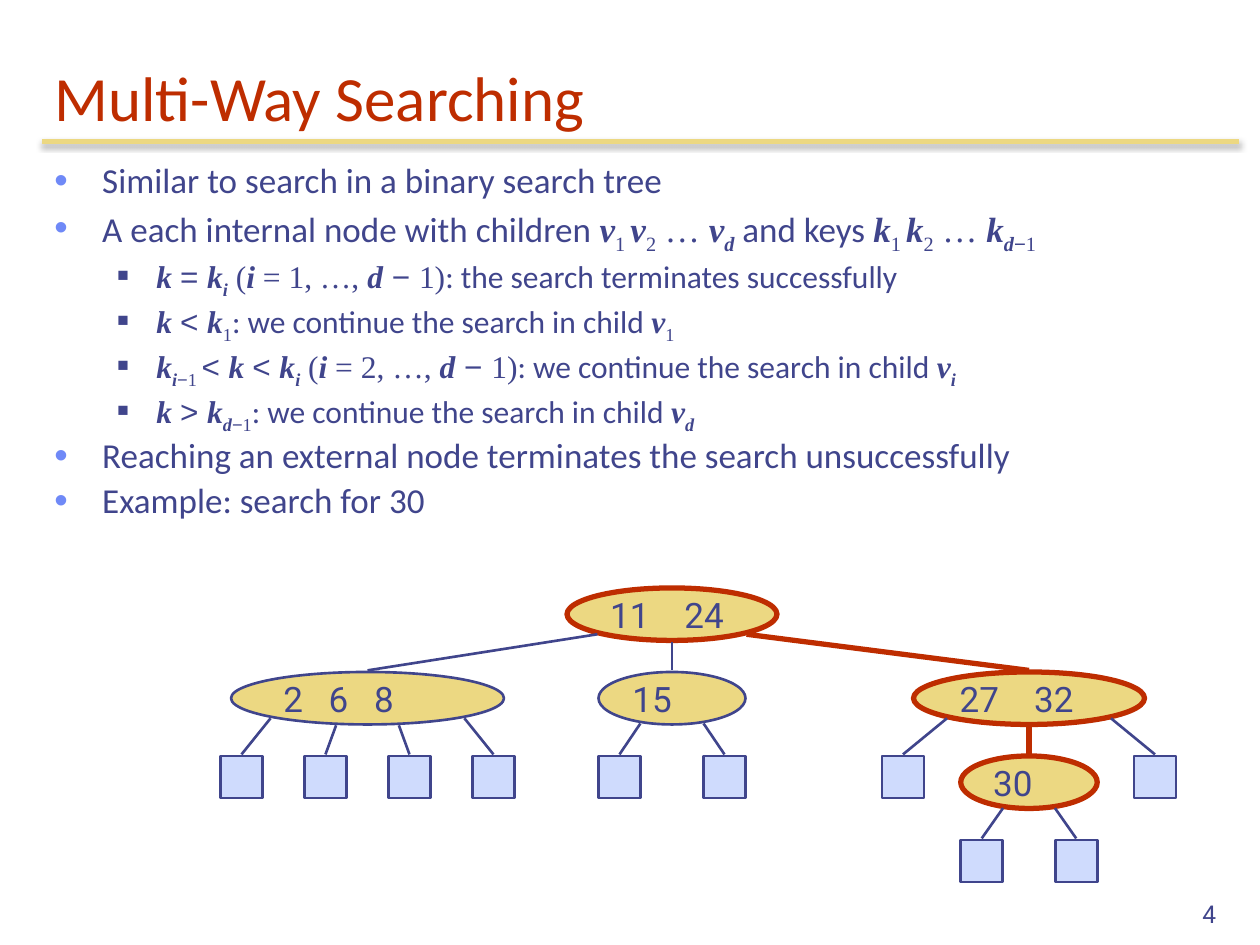
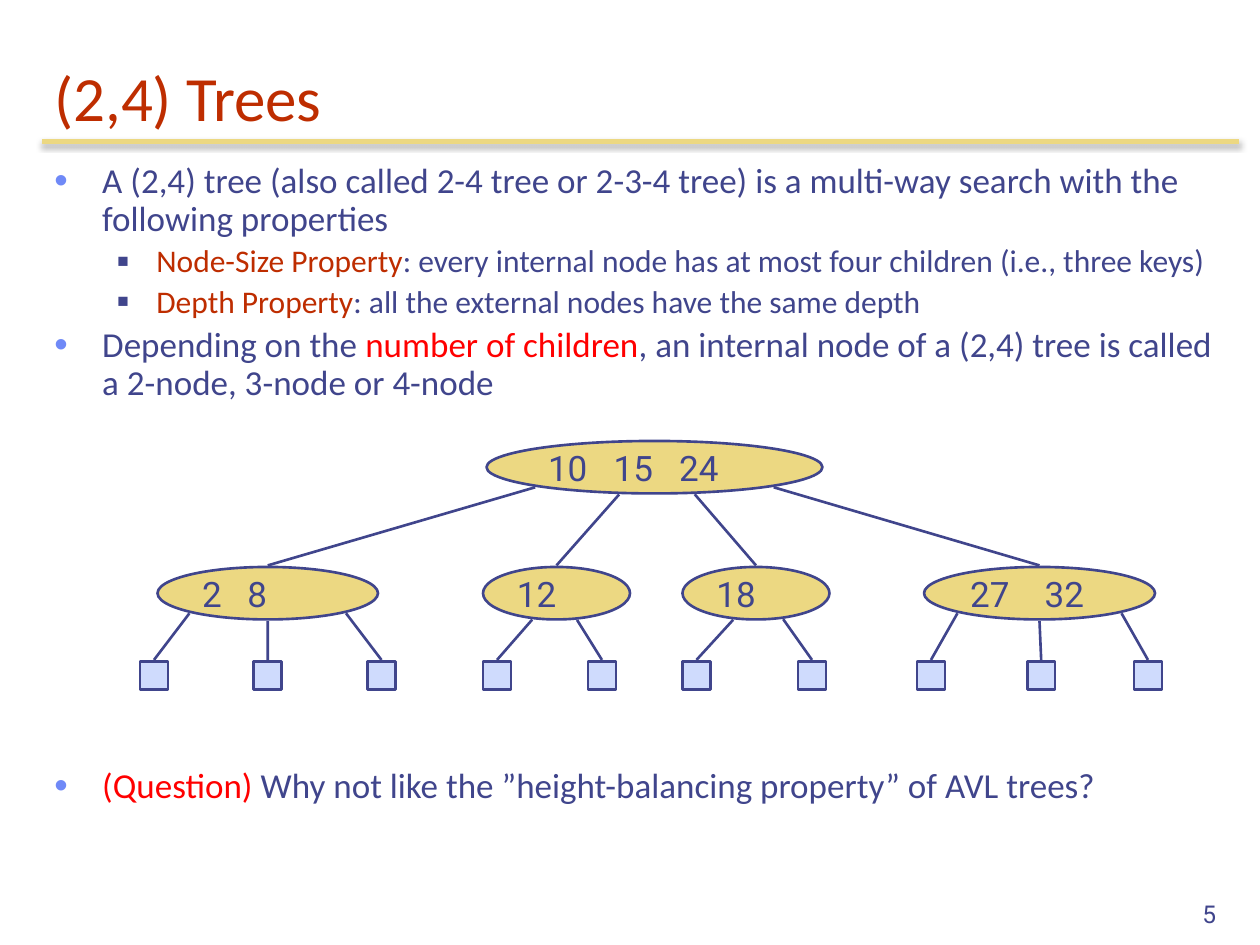
"""Build two slides on multi-way search trees and (2,4) trees."""
from dataclasses import dataclass
from math import sqrt

from lxml import etree
from pptx import Presentation
from pptx import util as u
from pptx.dml.color import RGBColor
from pptx.enum import shapes, text
from pptx.oxml import ns

INDIGO = RGBColor(0x40, 0x45, 0x8C)
RUST = RGBColor(0xBE, 0x2D, 0x00)
RED = RGBColor(0xFF, 0x00, 0x00)
GOLD = RGBColor(0xEC, 0xD8, 0x82)
PALE_BLUE = RGBColor(0xCF, 0xDB, 0xFD)
BULLET_BLUE = RGBColor(0x6F, 0x89, 0xF7)
BLACK = RGBColor(0x00, 0x00, 0x00)

BODY_FONT, MATH_FONT, SIGN_FONT, KEY_FONT = "Calibri", "Times New Roman", "Arial", "Roboto"

COLUMNS, ROWS = 120, 90
CELL = u.Inches(10) // COLUMNS
MARGIN, CONTENT_WIDTH = 4, 114
NODE_HEIGHT = 5
EDGE_GAP = 0.15
DIAGONAL = 0.71
THIN, THICK = 1.5, 3


@dataclass(frozen=True)
class Run:
    text: str
    font: str = BODY_FONT
    color: RGBColor = INDIGO
    strong: bool = False
    sub: bool = False


@dataclass(frozen=True)
class Level:
    size: int
    left: float
    hanging: float
    mark: str
    mark_color: RGBColor
    mark_percent: int


@dataclass(frozen=True)
class Point:
    level: Level
    runs: list[Run]
    before: float | None = None


@dataclass(frozen=True)
class Node:
    col: float
    width: float
    keys: list[int]
    children: list
    joints: list[float]
    key_step: float = 0
    on_path: bool = False


@dataclass(frozen=True)
class Tree:
    root: Node
    rows: list[float]
    leaf_size: float


@dataclass(frozen=True)
class Page:
    title: str
    number: int
    points: list[Point]
    tree: Tree


MAIN = Level(20, 0.38, 0.38, "•", BULLET_BLUE, 110)
DETAIL = Level(18, 0.81, 0.31, "■", INDIGO, 60)


def var(name: str) -> Run:
    return Run(name, MATH_FONT, strong=True)


def index(name: str) -> Run:
    return Run(name, MATH_FONT, strong=True, sub=True)


def digit(value: str) -> Run:
    return Run(value, MATH_FONT, sub=True)


def math(formula: str) -> Run:
    return Run(formula, MATH_FONT)


def sign(symbol: str) -> Run:
    return Run(symbol, SIGN_FONT)


def index_minus_one(name: str, tail: str = "") -> list[Run]:
    return [index(name), Run("−", SIGN_FONT, sub=True), digit("1" + tail)]


def sequence(name: str, last: list[Run]) -> list[Run]:
    return [var(name), digit("1 "), var(name), digit("2"), math(" … "), var(name), *last]


def index_range(first: int) -> list[Run]:
    return [math(" ("), var("i"), math(f" = {first}, …, "), var("d"), sign(" − "), math("1)")]


def continue_in(child: Run) -> list[Run]:
    return [Run(": we continue the search in child "), var("v"), child]


def cells(*lengths: float) -> list[int]:
    return [round(length * CELL) for length in lengths]


def add_xml(parent, tag: str, **attributes):
    child = etree.SubElement(parent, ns.qn(tag))
    for name, value in attributes.items():
        child.set(name, str(value))
    return child


def add_run(paragraph, part: Run, size: float) -> None:
    run = paragraph.add_run()
    run.text = part.text
    run.font.name, run.font.size = part.font, u.Pt(size)
    run.font.bold = run.font.italic = part.strong
    run.font.color.rgb = part.color
    if part.sub:
        run.font._element.set("baseline", "-25000")


def add_text_box(slide, col: float, row: float, width: float, height: float, anchor):
    frame = slide.shapes.add_textbox(*cells(col, row, width, height)).text_frame
    frame.word_wrap = True
    frame.vertical_anchor = anchor
    return frame


def add_point(paragraph, point: Point, is_first: bool) -> None:
    level = point.level
    properties = paragraph._p.get_or_add_pPr()
    properties.set("marL", str(u.Inches(level.left)))
    properties.set("indent", str(-u.Inches(level.hanging)))
    mark_color = add_xml(properties, "a:buClr")
    add_xml(mark_color, "a:srgbClr", val=level.mark_color)
    add_xml(properties, "a:buSzPct", val=level.mark_percent * 1000)
    add_xml(properties, "a:buFont", typeface=SIGN_FONT)
    add_xml(properties, "a:buChar", char=level.mark)
    paragraph.level = int(level is DETAIL)
    paragraph.line_spacing = 0.9
    if not is_first:
        paragraph.space_before = u.Pt(point.before or level.size * 0.2)
    for part in point.runs:
        add_run(paragraph, part, level.size)


def add_line(slide, start: tuple[float, float], end: tuple[float, float], color: RGBColor, weight: float):
    line = slide.shapes.add_connector(shapes.MSO_CONNECTOR.STRAIGHT, *cells(*start, *end))
    line.line.color.rgb, line.line.width = color, u.Pt(weight)
    return add_xml(line._element.spPr, "a:effectLst")


def add_shape(slide, kind, box: list[float], fill: RGBColor, color: RGBColor, weight: float):
    shape = slide.shapes.add_shape(kind, *cells(*box))
    shape.shadow.inherit = False
    shape.fill.solid()
    shape.fill.fore_color.rgb = fill
    shape.line.color.rgb, shape.line.width = color, u.Pt(weight)
    return shape


def path_style(on_path: bool) -> tuple[RGBColor, float]:
    return (RUST, THICK) if on_path else (INDIGO, THIN)


def add_keys(frame, node: Node) -> None:
    frame.word_wrap = True
    frame.vertical_anchor = text.MSO_ANCHOR.MIDDLE
    paragraph = frame.paragraphs[0]
    paragraph.alignment = text.PP_ALIGN.LEFT
    if len(node.keys) > 1:
        stops = add_xml(paragraph._p.get_or_add_pPr(), "a:tabLst")
        for stop in range(1, len(node.keys)):
            add_xml(stops, "a:tab", pos=u.Inches(node.key_step * stop), algn="l")
    add_run(paragraph, Run("\t".join(map(str, node.keys)), KEY_FONT), 20)


def add_node(slide, tree: Tree, node: Node, depth: int = 0) -> None:
    row = tree.rows[depth]
    box = [node.col, row, node.width, NODE_HEIGHT]
    ellipse = add_shape(slide, shapes.MSO_SHAPE.OVAL, box, GOLD, *path_style(node.on_path))
    add_keys(ellipse.text_frame, node)
    half_width, half_height = node.width / 2, NODE_HEIGHT / 2
    child_row = tree.rows[depth + 1]
    for child, joint in zip(node.children, node.joints):
        on_path = False
        if isinstance(child, Node):
            add_node(slide, tree, child, depth + 1)
            on_path, child_center = child.on_path, child.col + child.width / 2
        else:
            leaf_box = [child, child_row, tree.leaf_size, tree.leaf_size]
            add_shape(slide, shapes.MSO_SHAPE.RECTANGLE, leaf_box, PALE_BLUE, INDIGO, THIN)
            child_center = child + tree.leaf_size / 2
        start = (node.col + half_width * (1 + joint),
                 row + half_height * (1 + sqrt(1 - joint ** 2)) + EDGE_GAP)
        add_line(slide, start, (child_center, child_row - EDGE_GAP), *path_style(on_path))


def add_frame(slide, page: Page) -> None:
    effects = add_line(slide, (MARGIN, 13.5), (MARGIN + CONTENT_WIDTH, 13.5), GOLD, THICK)
    shadow = add_xml(effects, "a:outerShdw", blurRad=u.Pt(3.1), dist=u.Pt(1.8), dir=5400000,
                     algn="t", rotWithShape=0)
    add_xml(add_xml(shadow, "a:srgbClr", val=BLACK), "a:alpha", val=35000)
    title = add_text_box(slide, MARGIN, MARGIN, CONTENT_WIDTH, 9.33, text.MSO_ANCHOR.BOTTOM)
    add_run(title.paragraphs[0], Run(page.title, color=RUST), 36)
    number = add_text_box(slide, 92, 83, 25, 6, text.MSO_ANCHOR.BOTTOM).paragraphs[0]
    number.alignment = text.PP_ALIGN.RIGHT
    add_run(number, Run(str(page.number), KEY_FONT), 14)


def add_page(deck, page: Page) -> None:
    slide = deck.slides.add_slide(deck.slide_layouts[6])
    add_frame(slide, page)
    body = add_text_box(slide, MARGIN, 15, CONTENT_WIDTH, 68, text.MSO_ANCHOR.TOP)
    for position, point in enumerate(page.points):
        paragraph = body.add_paragraph() if position else body.paragraphs[0]
        add_point(paragraph, point, position == 0)
    add_node(slide, page.tree, page.tree.root)


OUTER_PAIR = [-DIAGONAL, DIAGONAL]
OUTER_AND_MIDDLE = [-DIAGONAL, 0, DIAGONAL]

SEARCH_TREE = Tree(
    Node(54, 20, [11, 24], [
        Node(22, 26, [2, 6, 8], [21, 29, 37, 45], [-DIAGONAL, -0.23, 0.23, DIAGONAL], 0.36),
        Node(57, 14, [15], [57, 67], [-0.43, 0.43]),
        Node(87, 22, [27, 32], [
            84,
            Node(91.5, 13, [30], [91.5, 100.5], [-0.38, 0.38], on_path=True),
            108,
        ], OUTER_AND_MIDDLE, 0.59, True),
    ], OUTER_AND_MIDDLE, 0.59, True),
    rows=[56, 64, 72, 80], leaf_size=4)

TWO_FOUR_TREE = Tree(
    Node(46.33, 32, [10, 15, 24], [
        Node(15, 21, [2, 8], [13.33, 24.17, 35], OUTER_AND_MIDDLE, 0.36),
        Node(46, 14, [12], [46, 56], [-0.33, 0.28]),
        Node(65, 14, [18], [65, 76], [-0.31, 0.37]),
        Node(88, 22, [27, 32], [87.33, 97.83, 108], OUTER_AND_MIDDLE, 0.59),
    ], [-DIAGONAL, -0.21, 0.24, DIAGONAL], 0.52),
    rows=[42, 54, 63], leaf_size=2.67)

PAGES = [
    Page("Multi-Way Searching", 4, [
        Point(MAIN, [Run("Similar to search in a binary search tree")]),
        Point(MAIN, [Run("A each internal node with children "), *sequence("v", [index("d")]),
                     Run(" and keys "), *sequence("k", index_minus_one("d"))]),
        Point(DETAIL, [var("k "), sign("= "), var("k"), index("i"), *index_range(1),
                       Run(": the search terminates successfully")]),
        Point(DETAIL, [var("k "), sign("< "), var("k"), digit("1"), *continue_in(digit("1"))]),
        Point(DETAIL, [var("k"), *index_minus_one("i", " "), sign("< "), var("k "), sign("< "),
                       var("k"), index("i"), *index_range(2), *continue_in(index("i"))]),
        Point(DETAIL, [var("k "), sign("> "), var("k"), *index_minus_one("d"),
                       *continue_in(index("d"))]),
        Point(MAIN, [Run("Reaching an external node terminates the search unsuccessfully")]),
        Point(MAIN, [Run("Example: search for 30")]),
    ], SEARCH_TREE),
    Page("(2,4) Trees", 5, [
        Point(MAIN, [Run("A (2,4) tree (also called 2-4 tree or 2-3-4 tree) is a multi-way "
                         "search with the following properties")]),
        Point(DETAIL, [Run("Node-Size Property", color=RUST),
                       Run(": every internal node has at most four children (i.e., three keys)")]),
        Point(DETAIL, [Run("Depth Property", color=RUST),
                       Run(": all the external nodes have the same depth")]),
        Point(MAIN, [Run("Depending on the "), Run("number of children", color=RED),
                     Run(", an internal node of a (2,4) tree is called a 2-node, 3-node or 4-node")]),
        Point(MAIN, [Run("(Question)", color=RED),
                     Run(" Why not like the ”height-balancing property” of AVL trees?")], before=209),
    ], TWO_FOUR_TREE),
]


def main() -> None:
    deck = Presentation()
    deck.slide_width, deck.slide_height = cells(COLUMNS, ROWS)
    for page in PAGES:
        add_page(deck, page)
    deck.save("out.pptx")


if __name__ == "__main__":
    main()
